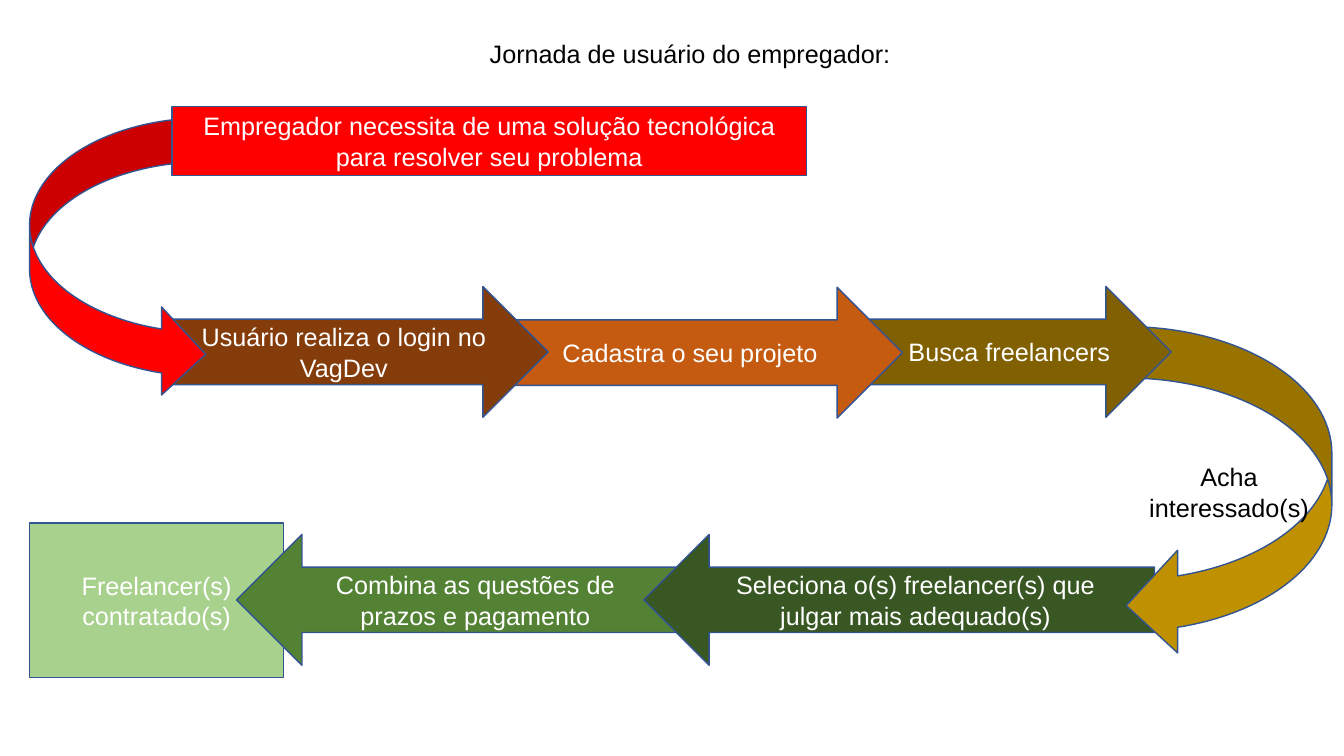
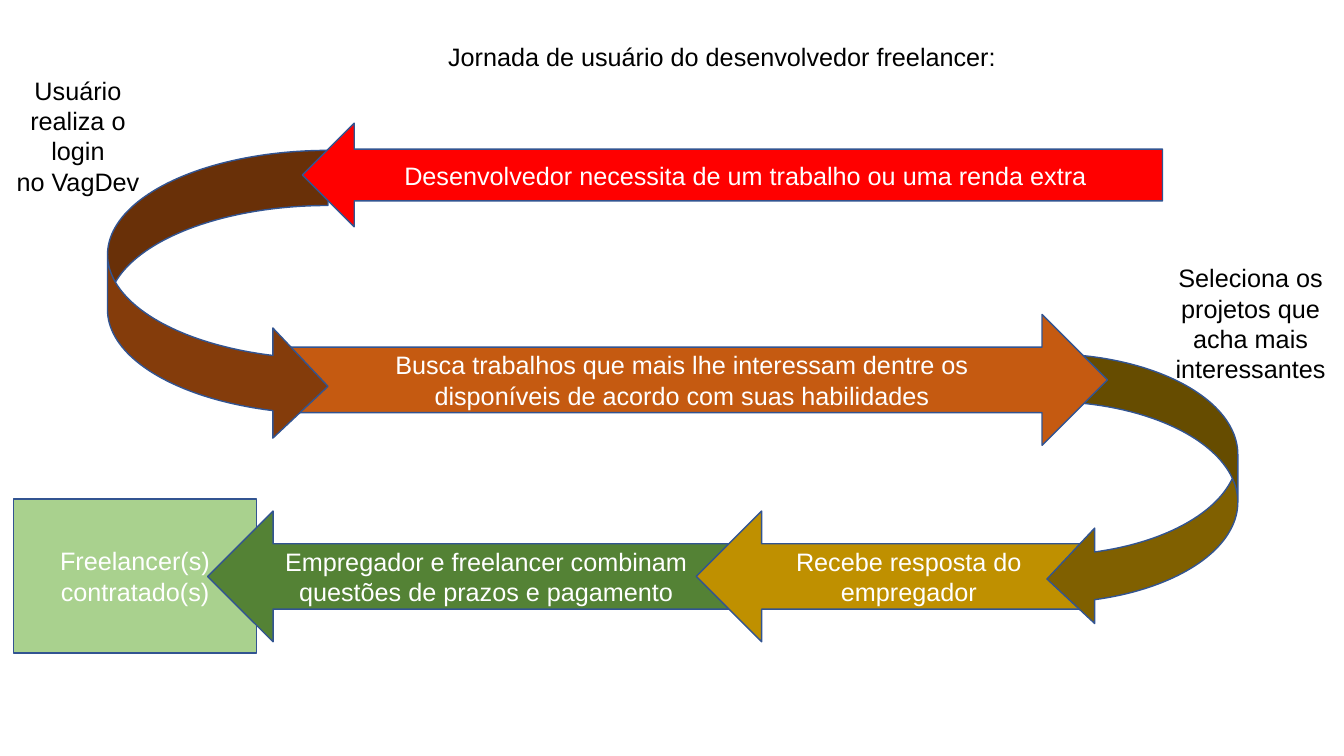
from pptx import Presentation
from pptx.dml.color import RGBColor
from pptx.enum.shapes import MSO_SHAPE
from pptx.enum.text import MSO_ANCHOR, PP_ALIGN
from pptx.util import Inches, Pt

BOX = MSO_SHAPE.RECTANGLE
LEFT_ARROW = MSO_SHAPE.LEFT_ARROW
RIGHT_ARROW = MSO_SHAPE.RIGHT_ARROW
TURN_LEFT = MSO_SHAPE.CURVED_LEFT_ARROW
TURN_RIGHT = MSO_SHAPE.CURVED_RIGHT_ARROW
MIDDLE = MSO_ANCHOR.MIDDLE
CENTER = PP_ALIGN.CENTER
LEFT = PP_ALIGN.LEFT

BLACK = RGBColor(0x00, 0x00, 0x00)
WHITE = RGBColor(0xFF, 0xFF, 0xFF)
OUTLINE = RGBColor(0x32, 0x54, 0x91)
RED = RGBColor(0xFF, 0x00, 0x00)
BROWN = RGBColor(0x84, 0x3C, 0x0B)
ORANGE = RGBColor(0xC5, 0x5A, 0x11)
OLIVE = RGBColor(0x80, 0x60, 0x00)
GOLD = RGBColor(0xBF, 0x90, 0x00)
DARK_GREEN = RGBColor(0x38, 0x57, 0x23)
GREEN = RGBColor(0x54, 0x82, 0x35)
LIGHT_GREEN = RGBColor(0xA9, 0xD1, 0x8E)

FONT = "Arial"
FONT_SIZE = Pt(18)
WIDTH = Inches(13.33)
HEIGHT = Inches(7.5)
ARROW_HEIGHT = 17.3
RESULT_HEIGHT = 20.4
TITLE_HEIGHT = 5.4


def place(left, top, width, height):
    return (int(WIDTH * left / 100), int(HEIGHT * top / 100),
            int(WIDTH * width / 100), int(HEIGHT * height / 100))


def write(frame, wording, color, align):
    frame.word_wrap = True
    frame.text = wording
    for paragraph in frame.paragraphs:
        paragraph.alignment = align
        paragraph.font.name = FONT
        paragraph.font.size = FONT_SIZE
        paragraph.font.color.rgb = color


def add_step(slide, kind, area, fill, wording="", color=WHITE):
    step = slide.shapes.add_shape(kind, *place(*area))
    step.shadow.inherit = False
    step.fill.solid()
    step.fill.fore_color.rgb = fill
    step.line.color.rgb = OUTLINE
    step.line.width = Pt(1)
    step.text_frame.vertical_anchor = MIDDLE
    if wording:
        write(step.text_frame, wording, color, CENTER)
    return step


def add_arrow(slide, kind, left, top, width, fill, wording):
    return add_step(slide, kind, (left, top, width, ARROW_HEIGHT), fill, wording)


def add_result(slide, left, top, width):
    add_step(slide, BOX, (left, top, width, RESULT_HEIGHT), LIGHT_GREEN,
             "Freelancer(s)\ncontratado(s)")


def add_note(slide, area, wording, align=CENTER):
    note = slide.shapes.add_textbox(*place(*area))
    write(note.text_frame, wording, BLACK, align)


def add_title(slide, left, top, width, wording):
    add_note(slide, (left, top, width, TITLE_HEIGHT), wording, LEFT)


def build_employer_journey(slide):
    upper, lower = 37.9, 70.7
    add_result(slide, 2.2, 69.2, 18.9)
    add_arrow(slide, LEFT_ARROW, 17.6, lower, 33.1, GREEN,
              "Combina as questões de\nprazos e pagamento")
    add_arrow(slide, LEFT_ARROW, 47.9, lower, 38, DARK_GREEN,
              "Seleciona o(s) freelancer(s) que\njulgar mais adequado(s)")
    add_step(slide, TURN_LEFT, (83.8, 43.2, 15.3, 43.7), GOLD,
             "Acha interessado(s)", BLACK)
    search = add_arrow(slide, RIGHT_ARROW, 63.9, upper, 23.25, OLIVE,
                       "Busca freelancers")
    search.text_frame.margin_left = Inches(0.31)
    add_arrow(slide, RIGHT_ARROW, 37.95, upper + 0.1, 29.2, ORANGE,
              "Cadastra o seu projeto")
    add_arrow(slide, RIGHT_ARROW, 12.8, upper, 28, BROWN,
              "Usuário realiza o login no VagDev")
    add_step(slide, TURN_RIGHT, (2.2, 15.6, 13.1, 37.1), RED)
    add_step(slide, BOX, (12.8, 14.1, 47.2, 9.1), RED,
             "Empregador necessita de uma solução tecnológica "
             "para resolver seu problema")
    add_title(slide, 35.7, 4.4, 33.8, "Jornada de usuário do empregador:")


def build_freelancer_journey(slide):
    lower = 67.6
    add_result(slide, 1, 66, 18.1)
    add_arrow(slide, LEFT_ARROW, 15.45, lower, 39, GREEN,
              "Empregador e freelancer combinam questões de prazos e pagamento")
    add_title(slide, 32.6, 4.8, 43.9,
              "Jornada de usuário do desenvolvedor freelancer:")
    add_arrow(slide, LEFT_ARROW, 51.8, lower, 29.2, GOLD,
              "Recebe resposta do empregador")
    add_step(slide, TURN_LEFT, (77.9, 46.8, 14.2, 36.1), OLIVE)
    add_arrow(slide, RIGHT_ARROW, 21.5, 41.6, 60.9, ORANGE,
              "Busca trabalhos que mais lhe interessam dentre os\n"
              "disponíveis de acordo com suas habilidades")
    add_step(slide, TURN_RIGHT, (8, 19.9, 16.4, 38.5), BROWN)
    add_step(slide, LEFT_ARROW, (22.5, 16.3, 64, 13.7), RED,
             "Desenvolvedor necessita de um trabalho ou uma renda extra")
    add_note(slide, (0, 9.3, 11.6, 17.5), "Usuário\nrealiza o\nlogin\nno VagDev")
    add_note(slide, (86.1, 34.1, 13.9, 21.6),
             "Seleciona os projetos que acha mais\ninteressantes")


def main():
    deck = Presentation()
    deck.slide_width = WIDTH
    deck.slide_height = HEIGHT
    blank = deck.slide_layouts[6]
    for build in (build_employer_journey, build_freelancer_journey):
        build(deck.slides.add_slide(blank))
    deck.save("out.pptx")


main()
